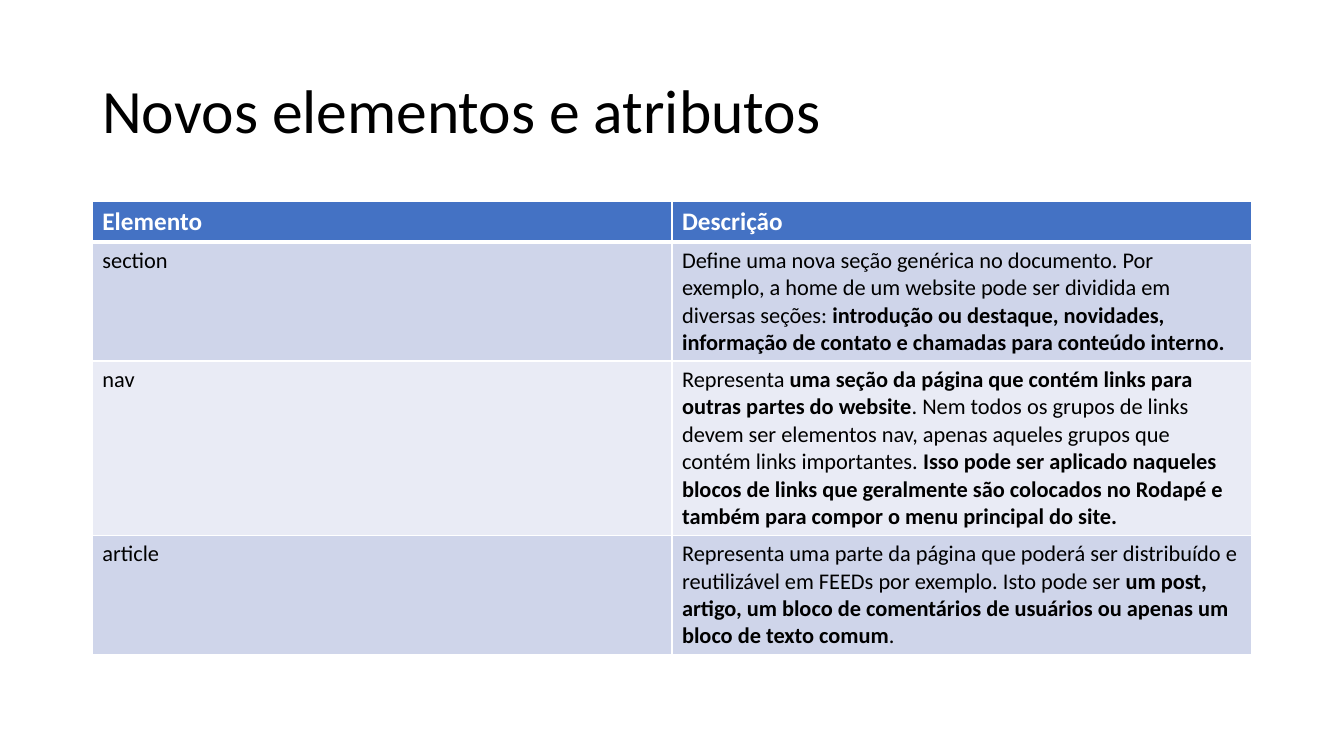
from dataclasses import dataclass

from lxml.etree import SubElement
from pptx import Presentation
from pptx.dml.color import RGBColor as RGB
from pptx.enum.text import MSO_ANCHOR as Anchor
from pptx.oxml.ns import qn
from pptx.util import Pt


@dataclass(frozen=True)
class Theme:
    font: str = "Calibri"
    ink: str = "000000"
    white: str = "FFFFFF"
    header_fill: str = "4472C4"
    bands: tuple = ("CFD5EA", "E9EBF5")
    title_size: int = 44
    header_size: int = 18
    body_size: int = 16
    rule: int = 1
    header_rule: int = 3


class SlideBuilder:
    def __init__(self, slide, theme):
        self.slide = slide
        self.theme = theme

    def add_parts(self, paragraph, parts, size, color):
        """Put (text, bold) parts into one paragraph."""
        font = paragraph.font
        font.name, font.size = self.theme.font, Pt(size)
        font.color.rgb = RGB.from_string(color)
        for text, bold in parts:
            run = paragraph.add_run()
            run.text = text
            run.font.bold = bold

    def title(self, text, left, top, width, height):
        frame = self.slide.shapes.add_textbox(
            Pt(left), Pt(top), Pt(width), Pt(height)).text_frame
        frame.word_wrap = True
        frame.vertical_anchor = Anchor.MIDDLE
        heading = frame.paragraphs[0]
        heading.line_spacing = 0.9
        self.add_parts(heading, [(text, False)], self.theme.title_size, self.theme.ink)

    def border(self, cell, side, weight):
        line = SubElement(cell._tc.get_or_add_tcPr(), qn(f"a:ln{side}"),
                          w=str(Pt(weight)))
        paint = SubElement(line, qn("a:solidFill"))
        SubElement(paint, qn("a:srgbClr"), val=self.theme.white)

    def cell(self, cell, parts, row):
        theme = self.theme
        # Borders come before the fill in the cell properties
        for side in "LRTB":
            under_header = (row, side) in ((0, "B"), (1, "T"))
            self.border(cell, side, theme.header_rule if under_header else theme.rule)
        cell.fill.solid()
        if row == 0:
            fill, size, color = theme.header_fill, theme.header_size, theme.white
        else:
            fill = theme.bands[(row - 1) % len(theme.bands)]
            size, color = theme.body_size, theme.ink
        cell.fill.fore_color.rgb = RGB.from_string(fill)
        self.add_parts(cell.text_frame.paragraphs[0], parts, size, color)

    def table(self, rows, left, top, width, heights):
        table = self.slide.shapes.add_table(
            len(rows), len(rows[0]), Pt(left), Pt(top), Pt(width),
            Pt(sum(heights))).table
        for row, (contents, height) in enumerate(zip(rows, heights)):
            table.rows[row].height = Pt(height)
            for column, parts in enumerate(contents):
                self.cell(table.cell(row, column), parts, row)


ELEMENTS = [
    ([("Elemento", True)], [("Descrição", True)]),
    ([("section", False)], [
        ("Define uma nova seção genérica no documento. Por exemplo, a home de um "
         "website pode ser dividida em diversas seções: ", False),
        ("introdução ou destaque, novidades, informação de contato e chamadas "
         "para conteúdo interno.", True)]),
    ([("nav", False)], [
        ("Representa ", False),
        ("uma seção da página que contém links para outras partes do website", True),
        (". Nem todos os grupos de links devem ser elementos nav, apenas aqueles "
         "grupos que contém links importantes. ", False),
        ("Isso pode ser aplicado naqueles blocos de links que geralmente são "
         "colocados no Rodapé e também para compor o menu principal do site.", True)]),
    ([("article", False)], [
        ("Representa uma parte da página que poderá ser distribuído e reutilizável "
         "em FEEDs por exemplo. Isto pode ser ", False),
        ("um post, artigo, um bloco de comentários de usuários ou apenas um bloco "
         "de texto comum", True),
        (".", False)]),
]


def main():
    deck = Presentation()
    deck.slide_width, deck.slide_height = Pt(960), Pt(540)
    builder = SlideBuilder(deck.slides.add_slide(deck.slide_layouts[6]), Theme())

    # Heading and table share the same margins
    left, width = 66, 828
    builder.title("Novos elementos e atributos", left, 28.75, width, 104.4)
    builder.table(ELEMENTS, left, 143.75, width, heights=(29.2, 85, 124.5, 85))

    deck.save("out.pptx")


if __name__ == "__main__":
    main()
